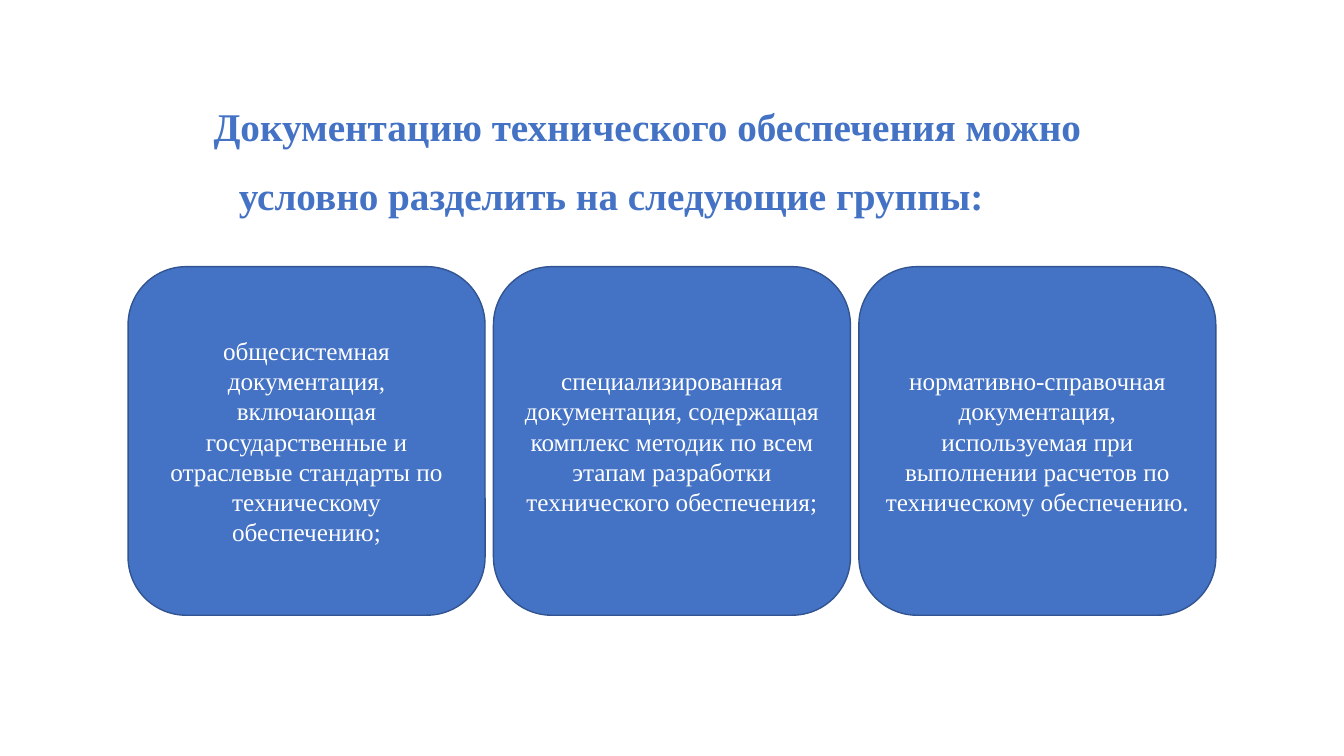
from pptx import Presentation
from pptx.dml.color import RGBColor
from pptx.enum.shapes import MSO_SHAPE
from pptx.enum.text import MSO_ANCHOR, PP_ALIGN
from pptx.util import Pt

BLUE = RGBColor(0x44, 0x72, 0xC4)
DARK_BLUE = RGBColor(0x32, 0x54, 0x91)
WHITE = RGBColor(0xFF, 0xFF, 0xFF)
FONT = "Times New Roman"

TITLE = "Документацию технического обеспечения можно условно разделить на следующие группы:"
GROUPS = [
    "общесистемная документация, включающая государственные и отраслевые "
    "стандарты по техническому обеспечению;",
    "специализированная документация, содержащая комплекс методик по всем "
    "этапам разработки технического обеспечения;",
    "нормативно-справочная документация, используемая при выполнении "
    "расчетов по техническому обеспечению.",
]

# Row of cards, in points
CARD_LEFT, CARD_TOP = 91.5, 190.5
CARD_WIDTH, CARD_HEIGHT, CARD_GAP = 255, 249, 6


def set_text(shape, text, size, color, bold=False):
    tf = shape.text_frame
    tf.word_wrap = True
    tf.text = text
    p = tf.paragraphs[0]
    font = p.runs[0].font
    font.name, font.size, font.bold = FONT, Pt(size), bold
    font.color.rgb = color
    return p


def add_title(s, text):
    sp = s.shapes.add_textbox(Pt(145.5), Pt(54.7), Pt(653), Pt(108))
    p = set_text(sp, text, 28, BLUE, bold=True)
    p.line_spacing = 1.45
    p.space_before = Pt(10)
    # Hanging indent
    pPr = p._p.get_or_add_pPr()
    pPr.set("marL", str(Pt(18)))
    pPr.set("indent", str(-Pt(18)))


def add_card(s, left, text):
    sp = s.shapes.add_shape(MSO_SHAPE.ROUNDED_RECTANGLE, Pt(left), Pt(CARD_TOP),
                            Pt(CARD_WIDTH), Pt(CARD_HEIGHT))
    sp.shadow.inherit = False
    sp.fill.solid()
    sp.fill.fore_color.rgb = BLUE
    sp.line.color.rgb = DARK_BLUE
    sp.line.width = Pt(1)
    p = set_text(sp, text, 18, WHITE)
    p.alignment = PP_ALIGN.CENTER
    sp.text_frame.vertical_anchor = MSO_ANCHOR.MIDDLE


def main():
    prs = Presentation()
    prs.slide_width, prs.slide_height = Pt(960), Pt(540)
    s = prs.slides.add_slide(prs.slide_layouts[6])

    # Heading
    add_title(s, TITLE)

    # Documentation groups
    for i, text in enumerate(GROUPS):
        add_card(s, CARD_LEFT + i * (CARD_WIDTH + CARD_GAP), text)

    prs.save("out.pptx")


main()
